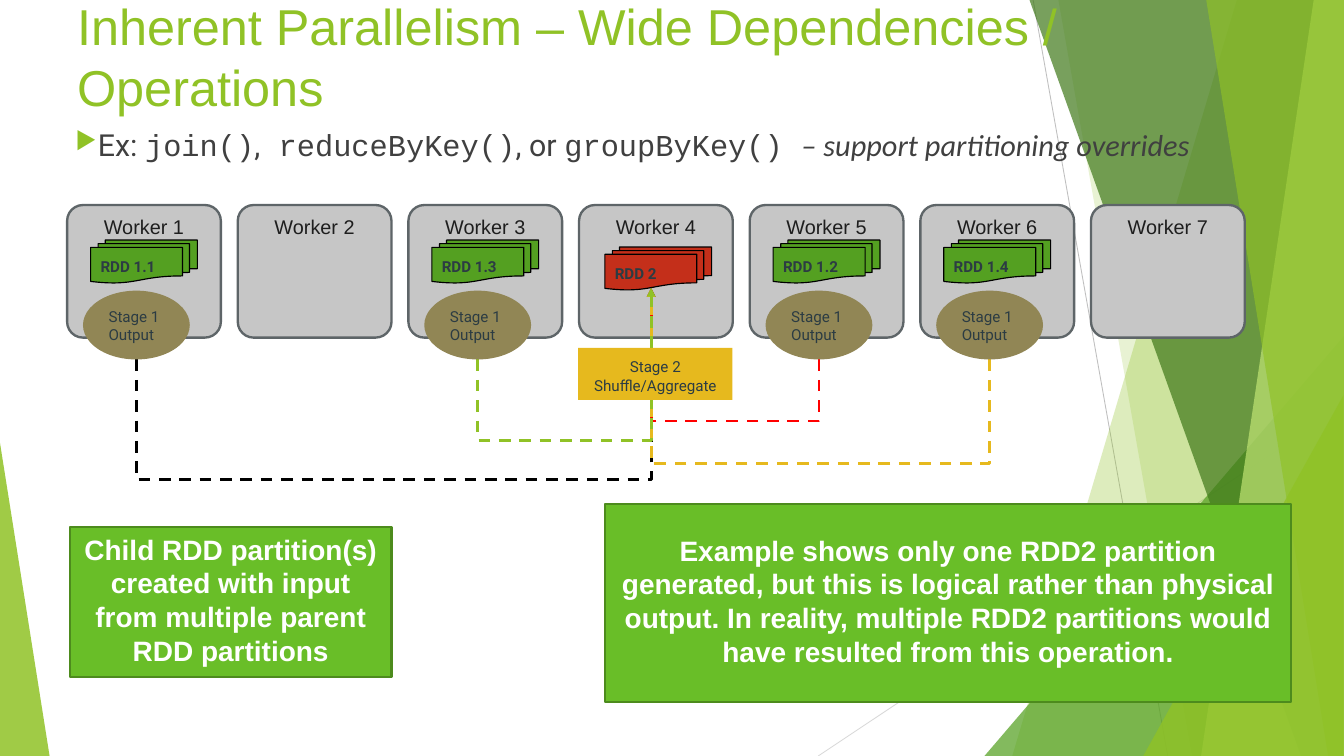
from lxml import etree
from pptx import Presentation
from pptx import util as u
from pptx.dml.color import RGBColor
from pptx.enum import dml, shapes, text
from pptx.oxml import ns

Cm, Pt = u.Cm, u.Pt
Kind, Align, Anchor = shapes.MSO_SHAPE, text.PP_ALIGN, text.MSO_ANCHOR
WIDTH, HEIGHT = 40.64, 22.86
COLORS = {
    "lime": "90C226", "pale": "C0E474", "forest": "3F7819", "green": "54A021",
    "red": "C42F1A", "bright red": "FF0000", "gold": "E6B91E", "olive": "918655",
    "note": "69BE28", "note edge": "4D8B1D", "worker": "C6C6C6", "worker edge": "5E6568",
    "ink": "1E1E1E", "slate": "2C3C43", "gray": "404040", "black": "000000",
    "white": "FFFFFF", "silver": "BFBFBF", "mist": "D9D9D9",
}
WORKER_LEFT, WORKER_STEP = 2.03, 5.16
STAGE_OFFSET, STAGE_WIDTH = 0.48, 3.23
TARGET_X, TARGET_Y, STAGE_BOTTOM = 19.69, 8.71, 10.87
PARTITIONS = [(0, "RDD 1.1"), (4, "RDD 1.2"), (2, "RDD 1.3"), (5, "RDD 1.4")]
SHUFFLES = [(0, 14.5, "black"), (4, 12.73, "bright red"), (5, 14.02, "gold"), (2, 13.31, "lime")]


def rgb(color):
    """Return the named colour."""
    return RGBColor.from_string(COLORS[color])


def add_xml(parent, tag, **attributes):
    """Append a DrawingML element and return it."""
    return etree.SubElement(parent, ns.qn(tag), attributes)


def paint(shape, fill, edge=None, edge_width=1, opacity=None):
    """Set fill, outline and opacity of a shape."""
    shape.shadow.inherit = False
    shape.fill.solid()
    shape.fill.fore_color.rgb = rgb(fill)
    if opacity:
        color = shape.element.spPr.find(".//" + ns.qn("a:srgbClr"))
        add_xml(color, "a:alpha", val=str(opacity * 1000))
    if edge:
        shape.line.color.rgb = rgb(edge)
        shape.line.width = Pt(edge_width)
    else:
        shape.line.fill.background()


def set_font(paragraph, name, size, color, bold=False):
    """Format the font of a paragraph."""
    font = paragraph.font
    font.size, font.bold = Pt(size), bold
    font.color.rgb = rgb(color)
    if name:
        font.name = name


def set_frame(frame, anchor, top=0.15, bottom=0.3):
    """Set wrapping, anchor and margins of a text frame."""
    frame.word_wrap = True
    frame.auto_size = text.MSO_AUTO_SIZE.NONE
    frame.vertical_anchor = anchor
    frame.margin_left = frame.margin_right = Cm(0.3)
    frame.margin_top, frame.margin_bottom = Cm(top), Cm(bottom)


def add_box(slide, kind, box, words, fill, font, edge=None, edge_width=1,
            align=Align.CENTER, anchor=Anchor.TOP, top=0.3):
    """Add a preset shape holding one paragraph."""
    shape = slide.shapes.add_shape(kind, *map(Cm, box))
    paint(shape, fill, edge, edge_width)
    set_frame(shape.text_frame, anchor, top)
    paragraph = shape.text_frame.paragraphs[0]
    paragraph.text, paragraph.alignment = words, align
    set_font(paragraph, *font)
    return shape


def add_line(slide, kind, ends, color, width):
    """Add a connector without shadow."""
    line = slide.shapes.add_connector(kind, *map(Cm, ends))
    line.line.color.rgb = rgb(color)
    line.line.width = Pt(width)
    add_xml(line.element.spPr, "a:effectLst")
    return line


def add_band(slide, top_x, bottom_x, color, opacity):
    """Add a translucent band reaching the right edge of the slide."""
    builder = slide.shapes.build_freeform(Cm(top_x), Cm(-0.03))
    corners = [(WIDTH, -0.03), (WIDTH, HEIGHT), (bottom_x, HEIGHT)]
    builder.add_line_segments([(Cm(x), Cm(y)) for x, y in corners])
    paint(builder.convert_to_shape(), color, opacity=opacity)


def add_wedge(slide, box, apex, color, opacity):
    """Add a translucent right triangle."""
    wedge = slide.shapes.add_shape(Kind.ISOSCELES_TRIANGLE, *map(Cm, box))
    wedge.adjustments[0] = apex
    paint(wedge, color, opacity=opacity)


def add_backdrop(slide):
    """Draw the green facets at the slide edges."""
    straight = shapes.MSO_CONNECTOR.STRAIGHT
    add_line(slide, straight, (31.24, 0, 35.31, HEIGHT), "silver", 0.75)
    add_line(slide, straight, (WIDTH, 12.27, 24.74, HEIGHT), "mist", 0.75)
    add_band(slide, 37.41, 30.61, "lime", 30)
    add_band(slide, 32, 36.04, "lime", 20)
    add_wedge(slide, (29.77, 10.16, 10.87, 12.7), 1, "green", 72)
    add_band(slide, 31.12, 39.34, "forest", 70)
    add_band(slide, 39.73, 36.32, "pale", 70)
    add_band(slide, 36.47, 40.16, "lime", 65)
    add_wedge(slide, (34.57, 11.96, 6.05, 10.9), 1, "lime", 80)
    add_wedge(slide, (0, 13.39, 1.5, 9.47), 0, "lime", 85)


def add_title(slide, words):
    """Fill the title placeholder and lift it above the backdrop."""
    title = slide.shapes.title
    slide.shapes.element.append(title.element)
    title.left, title.top, title.width, title.height = map(Cm, (2.03, 0, 36.58, 3.38))
    set_frame(title.text_frame, Anchor.MIDDLE, bottom=0.15)
    paragraph = title.text_frame.paragraphs[0]
    paragraph.text, paragraph.alignment = words, Align.LEFT
    set_font(paragraph, "Arial", 43.2, "lime")


def add_example(slide):
    """Add the bulleted line of example operations."""
    frame = slide.shapes.add_textbox(*map(Cm, (2.03, 3.68, 36.58, 1.6))).text_frame
    frame.word_wrap = True
    paragraph = frame.paragraphs[0]
    properties = paragraph._p.get_or_add_pPr()
    properties.set("marL", str(Cm(0.56)))
    properties.set("indent", str(Cm(-0.56)))
    add_xml(add_xml(properties, "a:buClr"), "a:srgbClr", val=COLORS["lime"])
    add_xml(properties, "a:buSzPct", val="80000")
    add_xml(properties, "a:buChar", char="▶")
    set_font(paragraph, None, 26, "gray")
    for words, name in [("Ex: ", "Roboto"), ("join()", "Courier New"), (",", "Roboto"),
                        (" reduceByKey()", "Courier New"), (", or ", "Roboto"),
                        ("groupByKey() ", "Courier New"),
                        ("– support partitioning overrides", "Calibri")]:
        run = paragraph.add_run()
        run.text, run.font.name = words, name
        run.font.italic = name == "Calibri"


def worker_x(index):
    """Return the left edge of a worker."""
    return WORKER_LEFT + WORKER_STEP * index


def add_worker(slide, index):
    """Add one numbered worker."""
    worker = add_box(slide, Kind.ROUNDED_RECTANGLE, (worker_x(index), 6.2, 4.65, 4.01),
                     f"Worker {index + 1}", "worker", ("Arial", 17, "ink"),
                     "worker edge", 2, top=0.15)
    worker.adjustments[0] = 0.12


def add_partition(slide, left, top, words, fill):
    """Add a stack of documents for an RDD partition."""
    add_box(slide, Kind.FLOWCHART_MULTIDOCUMENT, (left, top, 3.23, 1.3), words, fill,
            ("Roboto", 13, "slate", True), "black", align=Align.LEFT)


def add_shuffle(slide, index, bend_y, color):
    """Add a dashed arrow that drops from a stage, then rises to RDD 2."""
    start_x = worker_x(index) + STAGE_OFFSET + STAGE_WIDTH / 2
    run, rise = TARGET_X - start_x, STAGE_BOTTOM - TARGET_Y
    x, y = (start_x + TARGET_X) / 2, (STAGE_BOTTOM + TARGET_Y) / 2
    ends = (x + rise / 2, y + run / 2, x - rise / 2, y - run / 2)
    arrow = add_line(slide, shapes.MSO_CONNECTOR.ELBOW, ends, color, 2.5)
    arrow.line.dash_style = dml.MSO_LINE.DASH
    properties = arrow.element.spPr
    properties.find(ns.qn("a:xfrm")).set("rot", "5400000")
    bend = round((STAGE_BOTTOM - bend_y) / rise * 100000)
    add_xml(properties.find(".//" + ns.qn("a:avLst")), "a:gd", name="adj1", fmla=f"val {bend}")
    add_xml(properties.find(ns.qn("a:ln")), "a:tailEnd", type="triangle")


def add_stage(slide, index):
    """Add the stage 1 output of a worker."""
    add_box(slide, Kind.OVAL, (worker_x(index) + STAGE_OFFSET, 8.79, STAGE_WIDTH, 2.08),
            "Stage 1 Output", "olive", ("Roboto", 13, "slate"),
            align=Align.LEFT, anchor=Anchor.MIDDLE)


def add_note(slide, box, words):
    """Add a green explanatory note."""
    add_box(slide, Kind.RECTANGLE, box, words, "note", ("Arial", 24, "white", True),
            "note edge", 2, anchor=Anchor.MIDDLE, top=0.15)


def main():
    """Build the slide and save it."""
    presentation = Presentation()
    presentation.slide_width, presentation.slide_height = Cm(WIDTH), Cm(HEIGHT)
    slide = presentation.slides.add_slide(presentation.slide_layouts[5])
    add_backdrop(slide)
    add_title(slide, "Inherent Parallelism – Wide Dependencies / Operations")
    add_example(slide)
    for index in range(7):
        add_worker(slide, index)
    for index, words in PARTITIONS:
        add_partition(slide, worker_x(index) + 0.71, 7.26, words, "green")
    add_partition(slide, 18.29, 7.47, "RDD 2", "red")
    add_note(slide, (2.11, 15.93, 9.73, 4.55),
             "Child RDD partition(s) created with input from multiple parent RDD partitions")
    for shuffle in SHUFFLES:
        add_shuffle(slide, *shuffle)
    for index, _ in PARTITIONS:
        add_stage(slide, index)
    add_box(slide, Kind.RECTANGLE, (17.48, 10.52, 4.67, 1.57), "Stage 2 Shuffle/Aggregate",
            "gold", ("Roboto", 13, "slate"))
    add_note(slide, (18.29, 15.24, 20.75, 5.99),
             "Example shows only one RDD2 partition generated, but this is logical rather than "
             "physical output. In reality, multiple RDD2 partitions would have resulted from "
             "this operation.")
    presentation.save("out.pptx")


if __name__ == "__main__":
    main()
